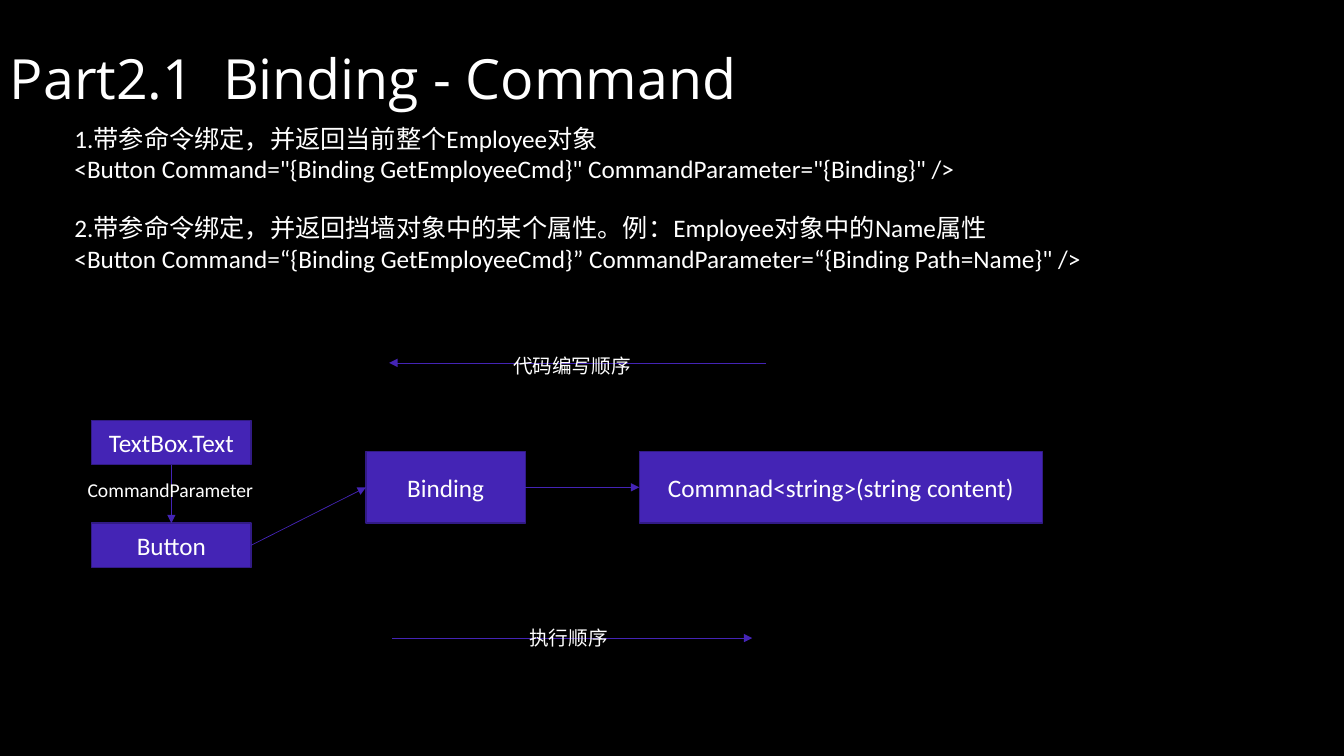
from dataclasses import dataclass

from lxml.etree import SubElement
from pptx import Presentation
from pptx.dml.color import RGBColor
from pptx.enum.shapes import MSO_CONNECTOR, MSO_SHAPE
from pptx.enum.text import MSO_ANCHOR, PP_ALIGN
from pptx.oxml.ns import qn
from pptx.util import Inches, Pt

WHITE, PURPLE, DARK_PURPLE, BLACK = "FFFFFF", "4424B5", "321B86", "000000"
TOP, LEFT, BOTTOM, RIGHT = range(4)  # connection sites of a rectangle


@dataclass
class Label:
    lines: list[str]
    x: float
    y: float
    w: float
    h: float
    size: float = 14
    font: str = "Calibri"
    wrap: bool = False
    anchor: MSO_ANCHOR = MSO_ANCHOR.TOP
    spacing: float = 1.0


@dataclass
class Node:
    text: str
    x: float
    y: float
    w: float
    h: float


@dataclass
class Link:
    start: str
    start_site: int
    end: str
    end_site: int


@dataclass
class OrderArrow:
    x1: float
    x2: float
    y: float


TEXTS = [
    Label(["Part2.1  Binding - Command"], 0, 0.44, 7.74, 0.73, 39.6, "Open Sans",
          True, MSO_ANCHOR.MIDDLE, 0.9),
    Label(["1.带参命令绑定，并返回当前整个Employee对象",
           '<Button Command="{Binding GetEmployeeCmd}" CommandParameter="{Binding}" />'],
          0.64, 1.17, 9.05, 0.71, 18, wrap=True),
    Label(["2.带参命令绑定，并返回挡墙对象中的某个属性。例：Employee对象中的Name属性",
           '<Button Command=“{Binding GetEmployeeCmd}” CommandParameter=“{Binding Path=Name}" />'],
          0.64, 2.06, 10.39, 0.71, 18, wrap=True),
]
NODES = [
    Node("TextBox.Text", 0.91, 4.17, 1.58, 0.44),
    Node("Binding", 3.63, 4.48, 1.58, 0.71),
    Node("Commnad<string>(string content)", 6.34, 4.48, 4, 0.71),
    Node("Button", 0.91, 5.19, 1.58, 0.44),
]
LINKS = [
    Link("Button", RIGHT, "Binding", LEFT),
    Link("Binding", RIGHT, "Commnad<string>(string content)", LEFT),
    Link("TextBox.Text", BOTTOM, "Button", TOP),
]
ORDER_ARROWS = [OrderArrow(3.89, 7.46, 6.33), OrderArrow(7.6, 3.86, 3.6)]
ARROW_LABELS = [
    Label(["CommandParameter"], 0.77, 4.69, 1.86, 0.34),
    Label(["执行顺序"], 5.15, 6.16, 0.99, 0.34),
    Label(["代码编写顺序"], 4.99, 3.46, 1.38, 0.34),
]


def paint(color_format, color: str) -> None:
    color_format.rgb = RGBColor.from_string(color)


def style_paragraph(p, size: float, font: str) -> None:
    p.font.size = Pt(size)
    p.font.name = font
    paint(p.font.color, WHITE)


def add_label(s, label: Label) -> None:
    box = s.shapes.add_textbox(*map(Inches, (label.x, label.y, label.w, label.h)))
    tf = box.text_frame
    tf.word_wrap = label.wrap
    tf.vertical_anchor = label.anchor
    tf.text = "\n".join(label.lines)
    for p in tf.paragraphs:
        p.line_spacing = label.spacing
        style_paragraph(p, label.size, label.font)


def add_node(s, node: Node):
    sp = s.shapes.add_shape(MSO_SHAPE.RECTANGLE,
                            *map(Inches, (node.x, node.y, node.w, node.h)))
    sp.shadow.inherit = False
    sp.fill.solid()
    paint(sp.fill.fore_color, PURPLE)
    paint(sp.line.color, DARK_PURPLE)
    sp.line.width = Pt(1)
    tf = sp.text_frame
    tf.vertical_anchor = MSO_ANCHOR.MIDDLE
    tf.text = node.text
    p = tf.paragraphs[0]
    p.alignment = PP_ALIGN.CENTER
    style_paragraph(p, 18, "Calibri")
    return sp


def add_arrow(s, x1: float = 0, y1: float = 0, x2: float = 0, y2: float = 0):
    arrow = s.shapes.add_connector(MSO_CONNECTOR.STRAIGHT,
                                   *map(Inches, (x1, y1, x2, y2)))
    paint(arrow.line.color, PURPLE)
    arrow.line.width = Pt(0.5)
    SubElement(arrow.line._get_or_add_ln(), qn("a:tailEnd"), type="triangle")
    SubElement(arrow._element.spPr, qn("a:effectLst"))
    return arrow


def main() -> None:
    prs = Presentation()
    prs.slide_width, prs.slide_height = Inches(13.33), Inches(7.5)
    s = prs.slides.add_slide(prs.slide_layouts[6])
    s.background.fill.solid()
    paint(s.background.fill.fore_color, BLACK)

    for label in TEXTS:
        add_label(s, label)
    shapes = {node.text: add_node(s, node) for node in NODES}
    for link in LINKS:
        arrow = add_arrow(s)
        arrow.begin_connect(shapes[link.start], link.start_site)
        arrow.end_connect(shapes[link.end], link.end_site)
    for order in ORDER_ARROWS:
        add_arrow(s, order.x1, order.y, order.x2, order.y)
    for label in ARROW_LABELS:
        add_label(s, label)

    prs.save("out.pptx")


if __name__ == "__main__":
    main()
